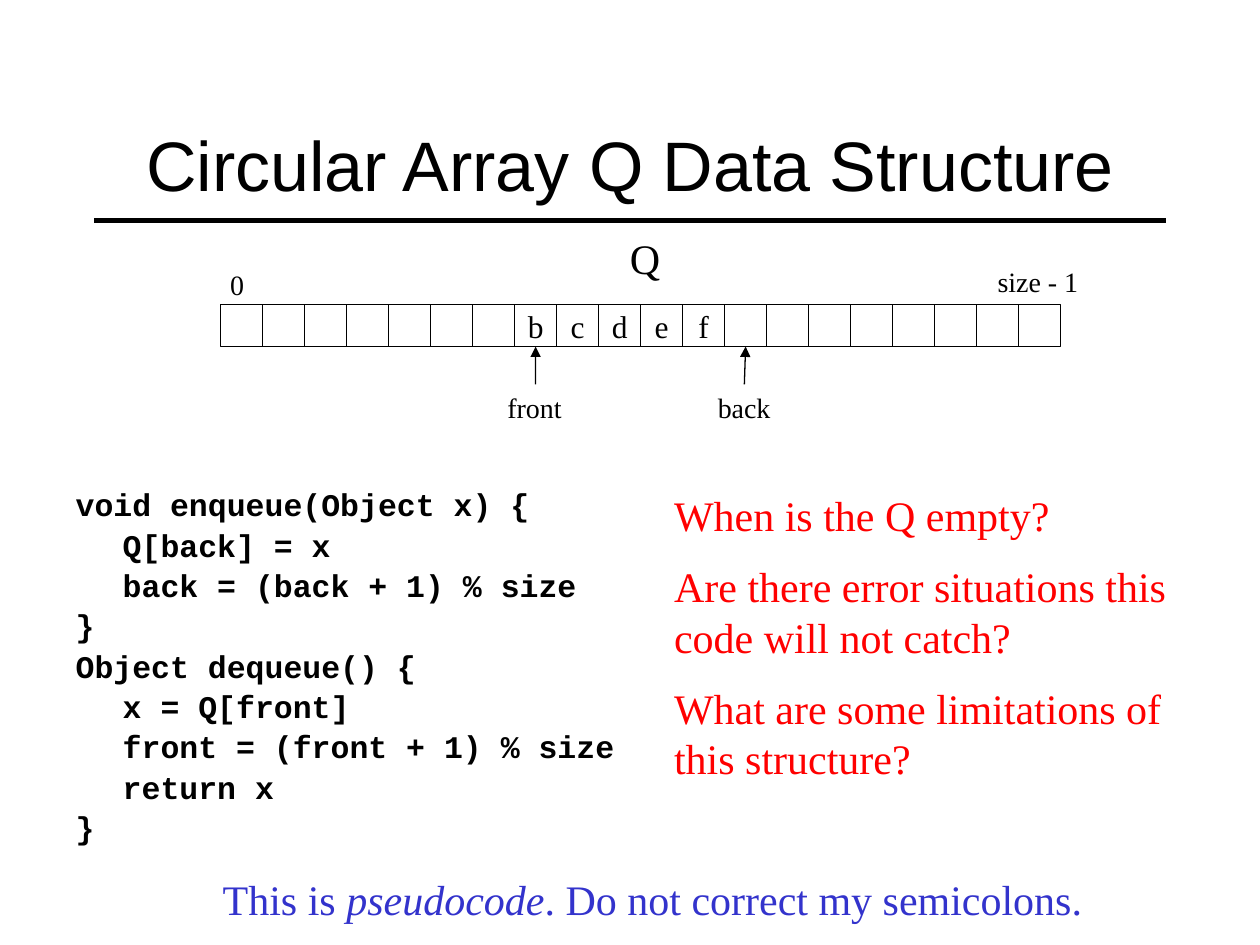
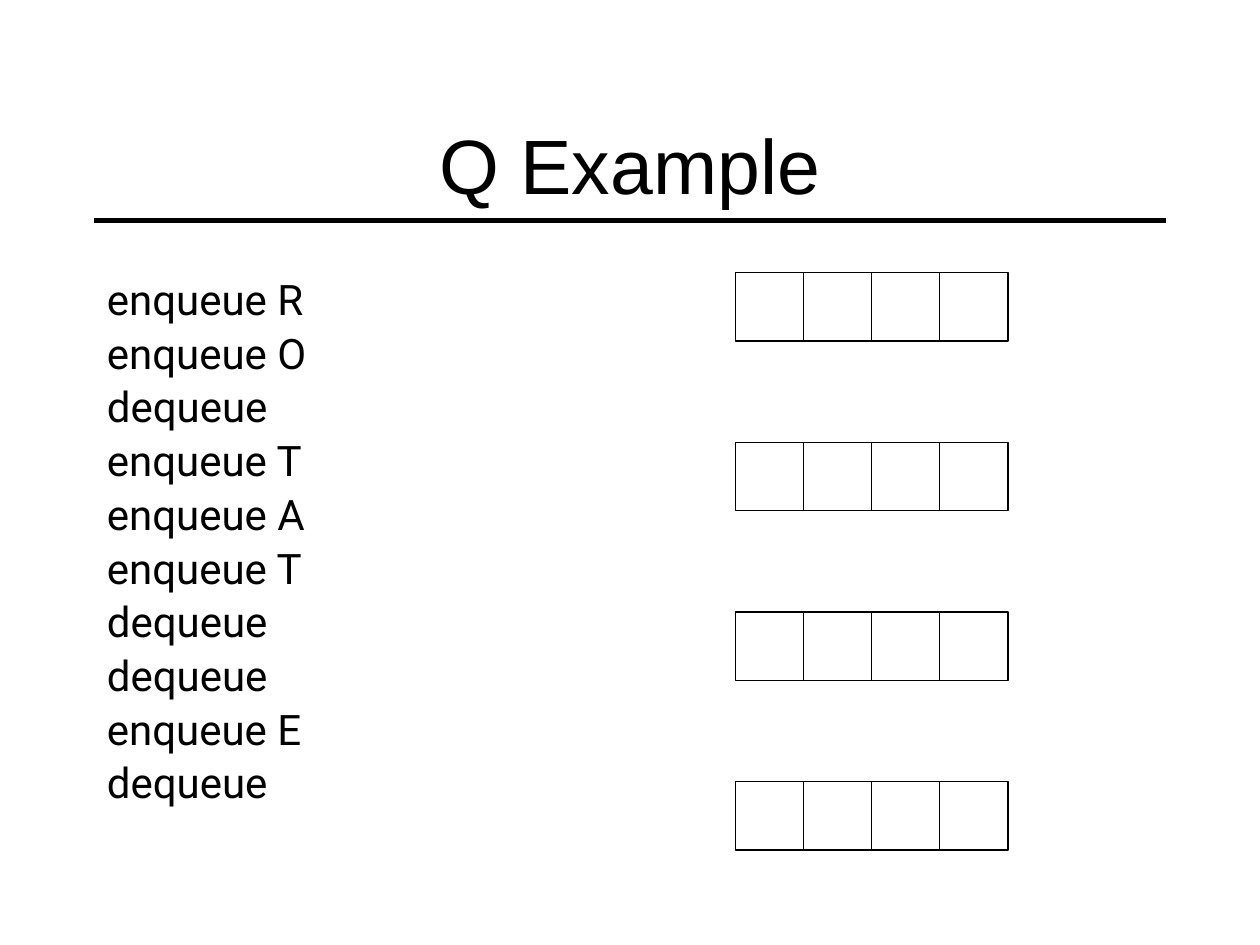
from dataclasses import dataclass

from lxml import etree
from pptx import Presentation
from pptx import util as u
from pptx.dml.color import RGBColor
from pptx.enum import shapes, text
from pptx.oxml.ns import qn


@dataclass(frozen=True)
class Theme:
    ink: RGBColor = RGBColor(0, 0, 0)
    question: RGBColor = RGBColor(255, 0, 0)
    remark: RGBColor = RGBColor(0x33, 0x33, 0xCC)
    title_font: str = "Arial"
    code_font: str = "Courier New"
    list_font: str = "Roboto"
    text_font: str = "Times New Roman"
    long_title: int = 40
    title: int = 44
    large: int = 24
    medium: int = 18
    small: int = 16
    thin: float = 0.75
    thick: float = 3


theme = Theme()


def write_text(frame, lines, font=theme.text_font, size=theme.large, color=theme.ink,
               bold=False, align=None, before=None, spacing=None, wrap=False):
    frame.word_wrap = wrap
    frame.auto_size = text.MSO_AUTO_SIZE.NONE
    for number, line in enumerate(lines):
        paragraph = frame.add_paragraph() if number else frame.paragraphs[0]
        paragraph.level = 1 if line.startswith(" ") else 0
        paragraph.alignment = align
        paragraph.line_spacing = spacing
        paragraph.space_before = before
        for part_number, part in enumerate(line.lstrip().split("*")):
            run = paragraph.add_run()
            run.text = part
            run.font.name = font
            run.font.size = u.Pt(size)
            run.font.bold = bold
            run.font.italic = part_number % 2 == 1
            run.font.color.rgb = color


def draw_cells(container, left, top, width, letters):
    side = width / len(letters)
    cells = []
    for column, letter in enumerate(letters):
        cell = container.add_shape(shapes.MSO_SHAPE.RECTANGLE, u.Cm(left + column * side),
                                   u.Cm(top), u.Cm(side), u.Cm(side))
        cell.shadow.inherit = False
        cell.fill.background()
        cell.line.color.rgb = theme.ink
        cell.line.width = u.Pt(theme.thin)
        if letter:
            cell.text_frame.vertical_anchor = text.MSO_ANCHOR.MIDDLE
            write_text(cell.text_frame, [letter], size=theme.medium,
                       align=text.PP_ALIGN.CENTER)
        cells.append(cell)
    return cells


presentation = Presentation()
presentation.slide_width = u.Cm(25.4)
presentation.slide_height = u.Cm(19.05)

body_style = presentation.slide_master.element.find(".//" + qn("p:bodyStyle"))
for level, indent in (("a:lvl1pPr", 0), ("a:lvl2pPr", 0.95)):
    level_style = body_style.find(qn(level))
    level_style.set("marL", str(u.Cm(indent)))
    level_style.set("indent", "0")
    bullet = level_style.find(qn("a:buChar"))
    level_style.replace(bullet, etree.Element(qn("a:buNone")))

layout = presentation.slide_layouts[1]
layout_title = layout.placeholders[0]
layout_title.left, layout_title.top = u.Cm(1.9), u.Cm(1.7)
layout_title.width, layout_title.height = u.Cm(21.6), u.Cm(3.18)

code = [
    "void enqueue(Object x) {",
    " Q[back] = x",
    " back = (back + 1) % size",
    "}",
    "Object dequeue() {",
    " x = Q[front]",
    " front = (front + 1) % size",
    " return x",
    "}",
]
operations = [
    "enqueue R", "enqueue O", "dequeue", "enqueue T", "enqueue A",
    "enqueue T", "dequeue", "dequeue", "enqueue E", "dequeue",
]
slide_contents = [
    ("Circular Array Q Data Structure", theme.long_title, (1.27, 9.74, 12.5, 7.2), code,
     dict(font=theme.code_font, size=theme.medium, bold=True)),
    ("Q Example", theme.title, (1.9, 5.5, 10.6, 11.43), operations,
     dict(font=theme.list_font, size=theme.large)),
]
slides = []
for title, title_size, (left, top, width, height), lines, body_format in slide_contents:
    slide = presentation.slides.add_slide(layout)
    write_text(slide.shapes.title.text_frame, [title], font=theme.title_font,
               size=title_size, align=text.PP_ALIGN.CENTER, wrap=True)
    body = slide.placeholders[1]
    body.left, body.top = u.Cm(left), u.Cm(top)
    body.width, body.height = u.Cm(width), u.Cm(height)
    write_text(body.text_frame, lines, spacing=0.9, wrap=True, **body_format)
    slides.append(slide)
array_slide, example_slide = slides

title_rule = array_slide.shapes.add_connector(
    shapes.MSO_CONNECTOR.STRAIGHT, u.Cm(1.9), u.Cm(4.45), u.Cm(23.5), u.Cm(4.45))
title_rule.line.color.rgb = theme.ink
title_rule.line.width = u.Pt(theme.thick)
etree.SubElement(title_rule.element.spPr, qn("a:effectLst"))
layout.shapes.element.append(title_rule.element)

letters = [""] * 7 + list("bcdef") + [""] * 8
cells = draw_cells(array_slide.shapes, 4.45, 6.14, 16.93, letters)

labels = {}
for label, left, top, width, height, label_format in [
    ("Q", 12.45, 4.57, 1.12, 1.27, {}),
    ("0", 4.39, 5.26, 0.79, 0.94, dict(size=theme.small)),
    ("size - 1", 19.86, 5.21, 2.16, 0.94, dict(size=theme.small)),
    ("front", 9.98, 7.75, 1.63, 0.94, dict(size=theme.small)),
    ("back", 14.22, 7.75, 1.57, 0.94, dict(size=theme.small)),
    ("This is *pseudocode*. Do not correct my semicolons.", 4.24, 17.48, 17.83, 1.27,
     dict(color=theme.remark)),
]:
    labels[label] = array_slide.shapes.add_textbox(u.Cm(left), u.Cm(top), u.Cm(width),
                                                   u.Cm(height))
    write_text(labels[label].text_frame, [label], **label_format)

for label, index in (("front", 7), ("back", 12)):
    pointer = array_slide.shapes.add_connector(shapes.MSO_CONNECTOR.STRAIGHT, 0, 0, 0, 0)
    pointer.begin_connect(labels[label], 0)
    pointer.end_connect(cells[index], 2)
    pointer.line.color.rgb = theme.ink
    pointer.line.width = u.Pt(theme.thin)
    etree.SubElement(pointer.element.spPr.find(qn("a:ln")), qn("a:tailEnd"), type="triangle")
    etree.SubElement(pointer.element.spPr, qn("a:effectLst"))

questions = array_slide.shapes.add_textbox(u.Cm(13.34), u.Cm(9.74), u.Cm(10.58), u.Cm(6.35))
write_text(questions.text_frame, [
    "When is the Q empty?",
    "Are there error situations this code will not catch?",
    "What are some limitations of this structure?",
], color=theme.question, before=u.Pt(12), wrap=True)

for row in range(4):
    queue = example_slide.shapes.add_group_shape()
    draw_cells(queue.shapes, 14.82, 5.5 + row * 3.42, 5.5, [""] * 4)

presentation.save("out.pptx")
